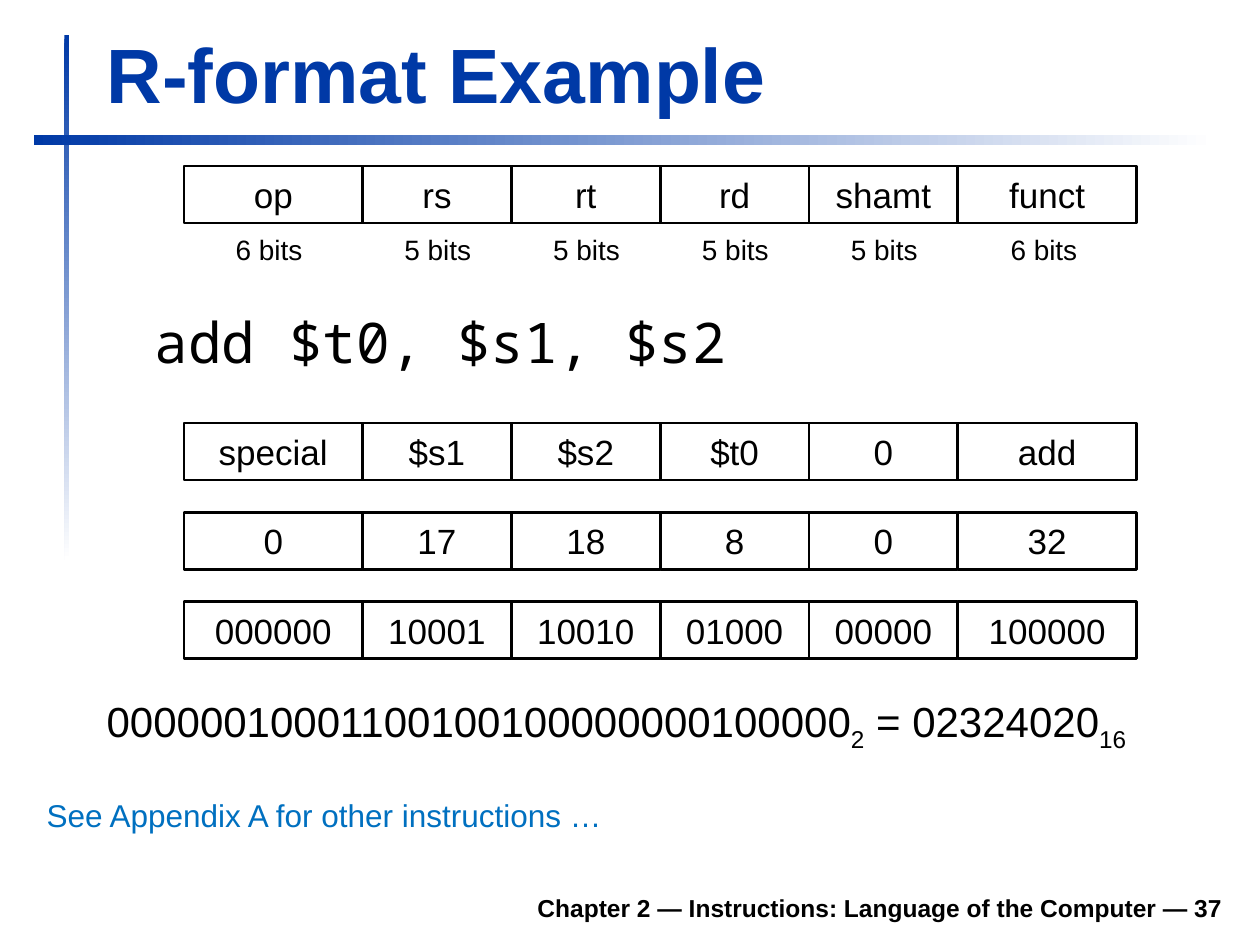
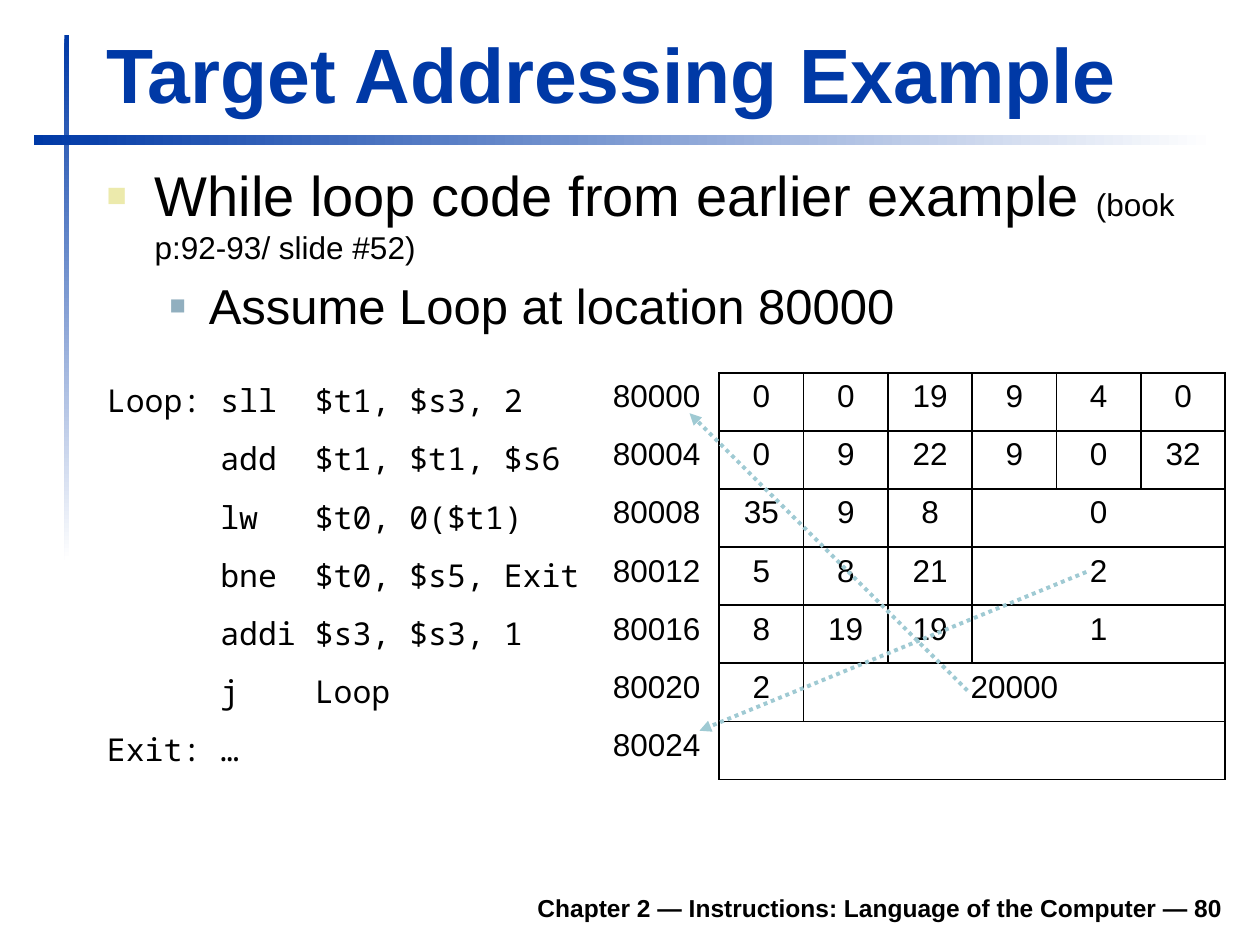
from pptx import Presentation
from pptx.dml.color import RGBColor
from pptx.enum.dml import MSO_LINE
from pptx.enum.shapes import MSO_CONNECTOR, MSO_SHAPE
from pptx.enum.text import MSO_ANCHOR, PP_ALIGN
from pptx.oxml.ns import qn
from pptx.util import Cm, Pt
from lxml import etree

RECT = MSO_SHAPE.RECTANGLE
LINE = MSO_CONNECTOR.STRAIGHT
DOTS = MSO_LINE.ROUND_DOT
LEFT, MID, RIGHT = PP_ALIGN.LEFT, PP_ALIGN.CENTER, PP_ALIGN.RIGHT
TOP, CENTRE, BASE = MSO_ANCHOR.TOP, MSO_ANCHOR.MIDDLE, MSO_ANCHOR.BOTTOM

INK = {"blue": "0039A6", "white": "FFFFFF", "black": "000000", "note": "0070C0",
       "sand": "ECEAAC", "steel": "91AFBF", "arrow": "9FCAD3"}
SANS, MONO = "Arial", "Noto Sans Mono"

FIELDS = [3.6, 3, 3, 3, 3, 3.6]
HEAD = ["op", "rs", "rt", "rd", "shamt", "funct"]
CODES = [
    ["special", "$s1", "$s2", "$t0", "0", "add"],
    ["0", "17", "18", "8", "0", "32"],
    ["000000", "10001", "10010", "01000", "00000", "100000"],
]
BITS = [(4.5, 6), (7.9, 5), (10.9, 5), (13.9, 5), (16.9, 5), (20.12, 6)]

# Code line, then the fields of its instruction word; the last field fills the row.
LOOP = [
    ("Loop: sll  $t1, $s3, 2", [0, 0, 19, 9, 4, 0]),
    ("      add  $t1, $t1, $s6", [0, 9, 22, 9, 0, 32]),
    ("      lw   $t0, 0($t1)", [35, 9, 8, 0]),
    ("      bne  $t0, $s5, Exit", [5, 8, 21, 2]),
    ("      addi $s3, $s3, 1", [8, 19, 19, 1]),
    ("      j    Loop", [2, 20000]),
    ("Exit: …", [""]),
]
JUMPS = [(19.5, 13.92, 13.9, 8.33), (21.9, 11.53, 14.1, 14.73)]


def rgb(name):
    return RGBColor.from_string(INK[name])


def add(node, tag, **attrs):
    return etree.SubElement(node, qn(tag), attrs)


class Deck:
    def __init__(self):
        self.prs = Presentation()
        self.prs.slide_width, self.prs.slide_height = Cm(25.4), Cm(19.05)
        self.slide = None

    def page(self, title, num):
        self.slide = self.prs.slides.add_slide(self.prs.slide_layouts[6])
        self.band((1.3, 0.71, 0.1, 10.59), 270)
        self.band((0.69, 2.72, 23.8, 0.2), 0)
        self.text((4.7, 17.73, 20.2, 1),
                  f"Chapter 2 — Instructions: Language of the Computer — {num}",
                  14, bold=True, align=RIGHT, anchor=BASE)
        self.text((1.9, 0.41, 22.94, 2.11), title, 44, "blue", bold=True, anchor=BASE)

    def style(self, para, size, ink="black", face=SANS, bold=False, align=LEFT):
        para.alignment = align
        font = para.font
        font.size, font.name, font.bold = Pt(size), face, bold
        font.color.rgb = rgb(ink)

    def band(self, box, angle):
        shape = self.slide.shapes.add_shape(RECT, *map(Cm, box))
        shape.shadow.inherit = False
        shape.line.fill.background()
        shape.fill.gradient()
        shape.fill.gradient_angle = angle
        for stop, ink in zip(shape.fill.gradient_stops, ("blue", "white")):
            stop.color.rgb = rgb(ink)

    def frame(self, box, anchor=TOP, wrap=True):
        frame = self.slide.shapes.add_textbox(*map(Cm, box)).text_frame
        frame.word_wrap, frame.vertical_anchor = wrap, anchor
        return frame

    def text(self, box, words, size, ink="black", anchor=TOP, wrap=True, **look):
        para = self.frame(box, anchor, wrap).paragraphs[0]
        para.text = words
        self.style(para, size, ink, **look)
        return para

    def sums(self, box, parts, size):
        """Write (number, subscript) pairs on one line."""
        para = self.frame(box).paragraphs[0]
        for words, sub in parts:
            para.add_run().text = words
            run = para.add_run()
            run.text = sub
            run._r.get_or_add_rPr().set("baseline", "-25000")
        self.style(para, size)

    def points(self, box, items):
        frame = self.frame(box)
        for i, (words, note, size, ink, scale, margin, hang) in enumerate(items):
            para = frame.add_paragraph() if i else frame.paragraphs[0]
            props = para._p.get_or_add_pPr()
            props.set("marL", str(Cm(margin)))
            props.set("indent", str(-Cm(hang)))
            add(add(props, "a:buClr"), "a:srgbClr", val=INK[ink])
            add(props, "a:buSzPct", val=str(scale * 1000))
            add(props, "a:buFont", typeface=SANS)
            add(props, "a:buChar", char="■")
            if i:
                para.space_before = Pt(size * 0.2)
            para.add_run().text = words
            if note:
                run = para.add_run()
                run.text, run.font.size = note, Pt(18)
            self.style(para, size)

    def word(self, top, names):
        """Draw one instruction word as a row of boxes."""
        for i, (name, width) in enumerate(zip(names, FIELDS)):
            left = 3.71 + sum(FIELDS[:i])
            shape = self.slide.shapes.add_shape(RECT, *map(Cm, (left, top, width, 1.15)))
            shape.shadow.inherit = False
            shape.fill.background()
            shape.line.color.rgb, shape.line.width = rgb("black"), Pt(1.5)
            frame = shape.text_frame
            frame.vertical_anchor = CENTRE
            frame.text = name
            self.style(frame.paragraphs[0], 20, align=MID)

    def cell(self, cell, words, inks, face=SANS, align=LEFT):
        """Fill a cell; inks colour its left, right, top and bottom borders."""
        props = cell._tc.get_or_add_tcPr()
        for side, ink in zip("LRTB", inks):
            edge = add(props, f"a:ln{side}", w=str(Pt(1)))
            add(add(edge, "a:solidFill"), "a:srgbClr", val=INK[ink])
        cell.fill.background()
        cell.text = str(words)
        self.style(cell.text_frame.paragraphs[0], 18, face=face, align=align)

    def grid(self, left, top, high, widths, rows):
        table = self.slide.shapes.add_table(
            len(rows), len(widths), *map(Cm, (left, top, sum(widths), high * len(rows)))).table
        table.first_row = table.horz_banding = False
        for col, width in zip(table.columns, widths):
            col.width = Cm(width)
        last = len(widths) - 1
        for i, (code, nums) in enumerate(rows):
            table.rows[i].height = Cm(high)
            self.cell(table.cell(i, 0), code, ["white"] * 4, MONO)
            self.cell(table.cell(i, 1), 80000 + 4 * i, ["white", "black", "white", "white"])
            for j in range(2, last + 1):
                num = nums[j - 2] if j - 2 < len(nums) else ""
                self.cell(table.cell(i, j), num, ["black"] * 4, align=MID)
            start = len(nums) + 1
            if start < last:
                table.cell(i, start).merge(table.cell(i, last))

    def arrow(self, ends):
        link = self.slide.shapes.add_connector(LINE, *map(Cm, ends))
        link.line.color.rgb, link.line.width = rgb("arrow"), Pt(2.25)
        link.line.dash_style = DOTS
        add(link.line._get_or_add_ln(), "a:tailEnd", type="triangle")
        add(link._element.spPr, "a:effectLst")


def main():
    deck = Deck()

    deck.page("R-format Example", 37)
    deck.word(3.35, HEAD)
    for left, count in BITS:
        deck.text((left, 4.57, 1.85, 0.94), f"{count} bits", 16, wrap=False, align=MID)
    code = deck.text((1.9, 6.07, 23, 1.8), "add $t0, $s1, $s2", 32, face=MONO)
    code._p.get_or_add_pPr().set("marL", str(Cm(0.97)))
    for i, names in enumerate(CODES):
        deck.word(8.53 + 1.8 * i, names)
    deck.sums((1.9, 13.9, 22.6, 1.4),
              [("00000010001100100100000000100000", "2"), (" = 02324020", "16")], 24)
    deck.text((0.69, 15.93, 24.2, 1.02), "See Appendix A for other instructions …", 18, "note")

    deck.page("Target Addressing Example", 80)
    deck.points((1.9, 3.12, 23, 3.4), [
        ("While loop code from earlier example ", "(book p:92-93/ slide #52)",
         32, "sand", 60, 0.97, 0.97),
        ("Assume Loop at location 80000", "", 28, "steel", 55, 2.06, 0.79),
    ])
    deck.grid(1.9, 7.52, 1.17, [10.2, 2.4] + [1.7] * 6, LOOP)
    for ends in JUMPS:
        deck.arrow(ends)

    deck.prs.save("out.pptx")


if __name__ == "__main__":
    main()
